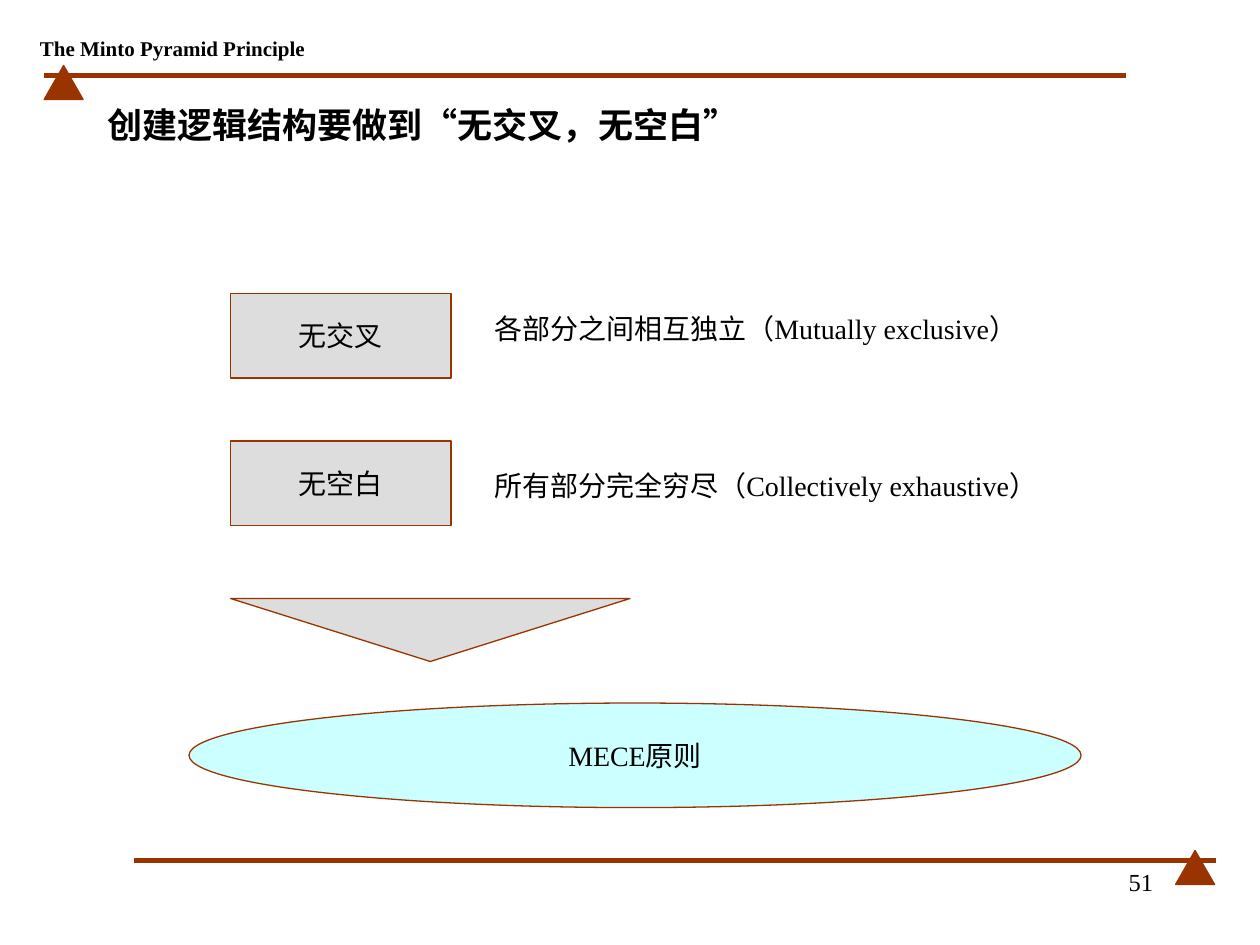
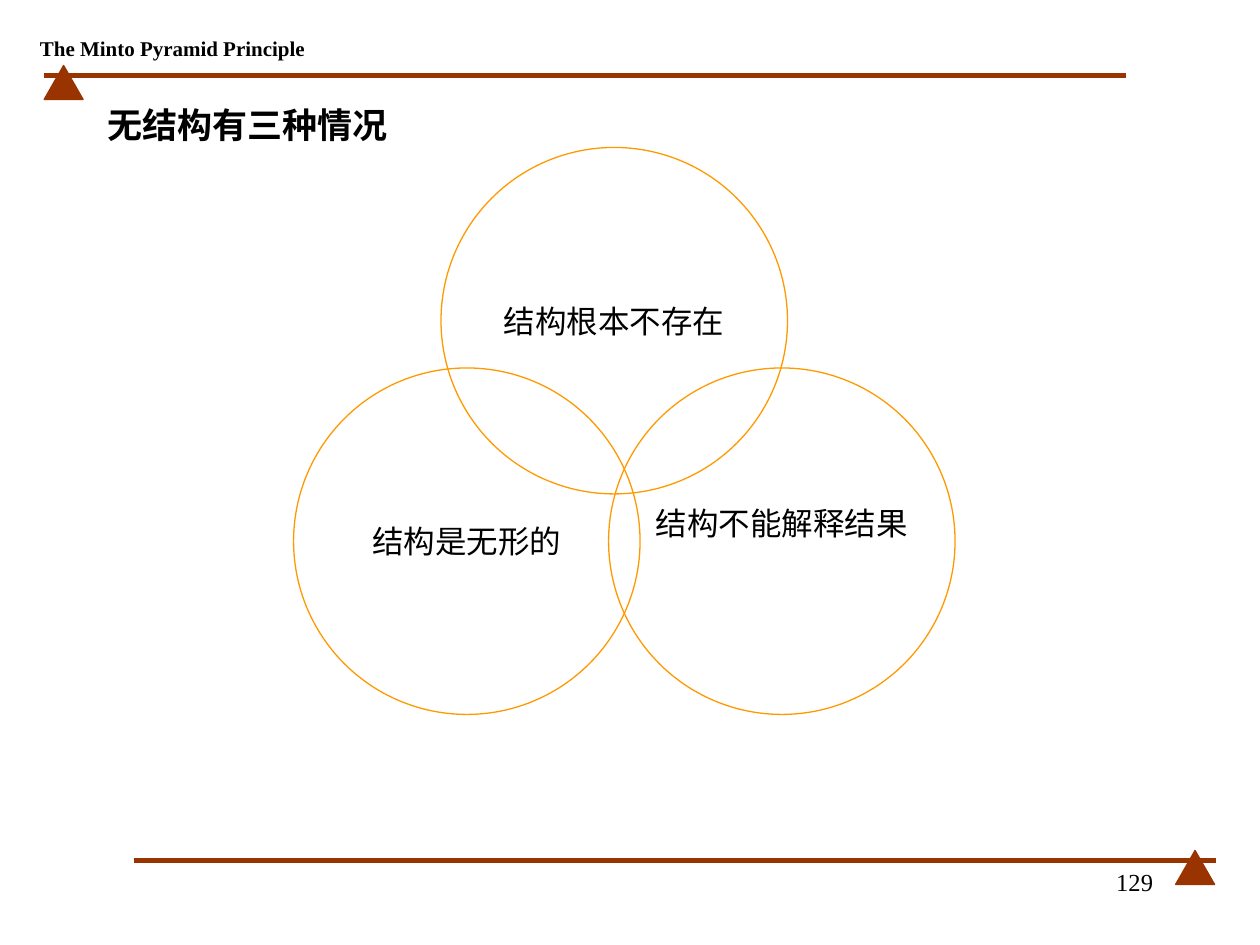
"""Build two slides on gap-free, overlap-free logical structure."""
from lxml import etree
from pptx import Presentation, util as u
from pptx.dml.color import RGBColor
from pptx.enum import shapes, text
from pptx.oxml.ns import qn

RUST = RGBColor(0x99, 0x33, 0x00)
GREY = RGBColor(0xDD, 0xDD, 0xDD)
AQUA = RGBColor(0xCC, 0xFF, 0xFF)
AMBER = RGBColor(0xFF, 0x99, 0x00)
BLACK = RGBColor(0, 0, 0)
SERIF, SANS = "Times New Roman", "Arial"
KIND = shapes.MSO_SHAPE
ALIGN = text.PP_ALIGN
MIDDLE = text.MSO_ANCHOR.MIDDLE
FIT = text.MSO_AUTO_SIZE


def inch(*nums):
    return [u.Inches(n) for n in nums]


def apply(item, **form):
    for key, val in form.items():
        setattr(item, key, val)


class Deck:
    def __init__(self):
        self.prs = Presentation()
        apply(self.prs, slide_width=u.Inches(10), slide_height=u.Inches(7.5))
        self.slide = None

    def letter(self, shape, runs, size, align=ALIGN.CENTER, bold=False, **frame):
        body = shape.text_frame
        sides = dict(margin_left=0.1, margin_right=0.1, margin_top=0.05, margin_bottom=0.05)
        apply(body, **{key: u.Inches(val) for key, val in sides.items()})
        apply(body, **{"word_wrap": False, "vertical_anchor": MIDDLE,
                       "auto_size": FIT.NONE, **frame})
        para = body.paragraphs[0]
        para.alignment = align
        for words, face in runs:
            run = para.add_run()
            run.text = words
            apply(run.font, name=face, size=u.Pt(size), bold=bold)
            run.font.color.rgb = BLACK

    def label(self, box, words, size, **form):
        shape = self.slide.shapes.add_textbox(*inch(*box))
        self.letter(shape, [(words, SERIF)], size, **form)

    def shape(self, kind, box, fill=None, edge=RUST, words=None, size=16, **form):
        shape = self.slide.shapes.add_shape(kind, *inch(*box))
        shape.shadow.inherit = False
        if fill is None:
            shape.fill.background()
        else:
            shape.fill.solid()
            shape.fill.fore_color.rgb = fill
        shape.line.color.rgb = edge
        shape.line.width = u.Pt(0.75)
        if words:
            self.letter(shape, [(words, SERIF)], size, **form)
        return shape

    def band(self, left, top, peak):
        line = self.slide.shapes.add_connector(
            shapes.MSO_CONNECTOR.STRAIGHT, *inch(left, top, left + 8.59, top))
        line.line.color.rgb = RUST
        line.line.width = u.Pt(3)
        etree.SubElement(line._element.spPr, qn("a:effectLst"))
        self.shape(KIND.ISOSCELES_TRIANGLE, (peak, top - 0.08, 0.31, 0.27), RUST)

    def page(self, number, *title):
        self.slide = self.prs.slides.add_slide(self.prs.slide_layouts[5])
        self.band(0.35, 0.6, 0.35)
        self.band(1.06, 6.83, 9.33)
        self.label((0.23, 0.24, 2.28, 0.28), "The Minto Pyramid Principle", 12, bold=True)
        self.label((7.17, 6.83, 2.08, 0.5), number, 14, align=ALIGN.RIGHT,
                   word_wrap=True, vertical_anchor=text.MSO_ANCHOR.TOP)
        head = self.slide.shapes.title
        left, top, width, height = inch(0.75, 0.67, 8.74, 0.64)
        apply(head, left=left, top=top, width=width, height=height)
        self.letter(head, title, 20, align=ALIGN.LEFT, bold=True, word_wrap=True)


def mece(deck):
    deck.page("51", ("创建逻辑结构要做到", SERIF), ("“", SANS),
              ("无交叉，无空白", SERIF), ("”", SANS))
    rules = [
        (2.33, "无交叉", (3.83, 2.42, 4.42, 0.64), "各部分之间相互独立（Mutually exclusive）"),
        (3.5, "无空白", (3.83, 3.67, 4.58, 0.64), "所有部分完全穷尽（Collectively exhaustive）"),
    ]
    for top, name, box, note in rules:
        deck.shape(KIND.RECTANGLE, (1.83, top, 1.75, 0.67), GREY, words=name)
        deck.label(box, note, 16, align=ALIGN.LEFT, word_wrap=True,
                   vertical_anchor=text.MSO_ANCHOR.TOP, auto_size=FIT.SHAPE_TO_FIT_TEXT)
    deck.shape(KIND.OVAL, (1.5, 5.58, 7.08, 0.83), AQUA, words="MECE原则")
    arrow = deck.shape(KIND.ISOSCELES_TRIANGLE, (1.83, 4.75, 3.17, 0.5), GREY)
    arrow.rotation = 180


def cases(deck):
    deck.page("129", ("无结构有三种情况", SERIF))
    rings = [
        (3.5, 1.17, "结构根本不存在", 0.05),
        (2.33, 2.92, "结构是无形的", 0.05),
        (4.83, 2.92, "结构不能解释结果", 0.34),
    ]
    for left, top, words, base in rings:
        deck.shape(KIND.OVAL, (left, top, 2.75, 2.75), edge=AMBER, words=words,
                   size=18, margin_bottom=u.Inches(base))


def main():
    deck = Deck()
    mece(deck)
    cases(deck)
    deck.prs.save("out.pptx")


if __name__ == "__main__":
    main()
